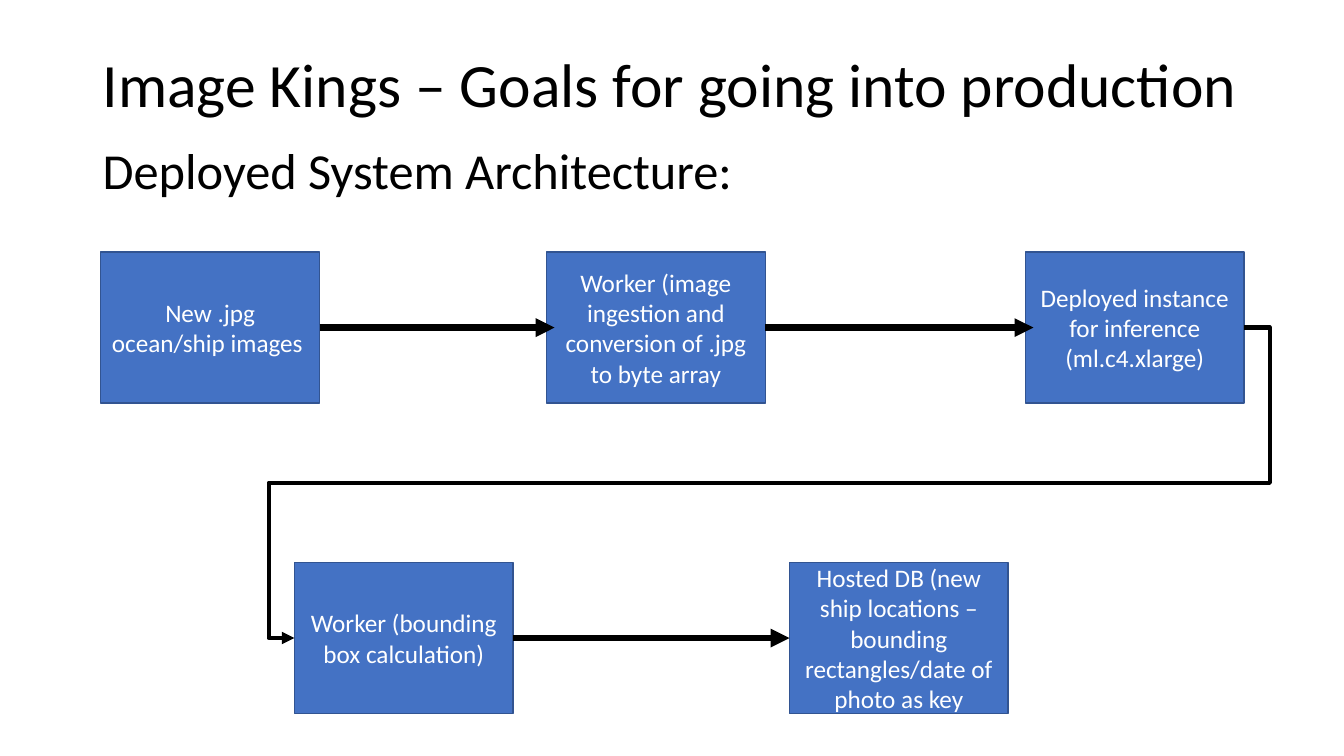
from lxml.etree import SubElement
from pptx import Presentation
from pptx.dml.color import RGBColor
from pptx.enum.shapes import MSO_CONNECTOR as CONN, MSO_SHAPE as SHAPE
from pptx.enum.text import MSO_ANCHOR as ANCHOR, PP_ALIGN as ALIGN
from pptx.oxml.ns import qn
from pptx.util import Inches, Pt

BLACK = RGBColor(0x00, 0x00, 0x00)
WHITE = RGBColor(0xFF, 0xFF, 0xFF)
BLUE = RGBColor(0x44, 0x72, 0xC4)
DARK_BLUE = RGBColor(0x32, 0x54, 0x91)

BOX_W, BOX_H = 2.17, 1.5
TOP_ROW, BOTTOM_ROW = 2.5, 5.58
STEPS = {
    "images": (1, TOP_ROW, "New .jpg ocean/ship images "),
    "ingestion": (5.42, TOP_ROW,
                  "Worker (image ingestion and conversion of .jpg to byte array"),
    "inference": (10.17, TOP_ROW, "Deployed instance for inference (ml.c4.xlarge)"),
    "bounding": (2.92, BOTTOM_ROW, "Worker (bounding box calculation)"),
    "database": (7.83, BOTTOM_ROW,
                 "Hosted DB (new ship locations – bounding rectangles/date of photo as key"),
}
# start step, end step, how far the head reaches into the end step
ARROWS = [("images", "ingestion", 0.08),
          ("ingestion", "inference", 0.08),
          ("bounding", "database", 0)]


class Diagram:
    font = "Calibri"

    def __init__(self, slide):
        self.shapes = slide.shapes

    def set_text(self, sp, text, size, color, anchor, **paragraph_format):
        tf = sp.text_frame
        tf.word_wrap = True
        tf.vertical_anchor = anchor
        p = tf.paragraphs[0]
        for name, value in paragraph_format.items():
            setattr(p, name, value)
        r = p.add_run()
        r.text = text
        for name, value in {"name": self.font, "size": Pt(size)}.items():
            setattr(r.font, name, value)
        r.font.color.rgb = color

    def heading(self, x, y, w, h, text, size, anchor=ANCHOR.TOP, **paragraph_format):
        sp = self.shapes.add_textbox(Inches(x), Inches(y), Inches(w), Inches(h))
        self.set_text(sp, text, size, BLACK, anchor, **paragraph_format)

    def step(self, x, y, text):
        sp = self.shapes.add_shape(SHAPE.RECTANGLE, Inches(x), Inches(y),
                                   Inches(BOX_W), Inches(BOX_H))
        sp.shadow.inherit = False
        sp.fill.solid()
        sp.fill.fore_color.rgb = BLUE
        sp.line.color.rgb = DARK_BLUE
        sp.line.width = Pt(1)
        self.set_text(sp, text, 18, WHITE, ANCHOR.MIDDLE, alignment=ALIGN.CENTER)

    def arrow(self, start, end, reach=0, width=4.5, kind=CONN.STRAIGHT):
        """Draw an arrow from the right side of one step to the left side of another."""
        (x1, y1, _), (x2, y2, _) = STEPS[start], STEPS[end]
        points = (x1 + BOX_W, y1 + BOX_H / 2, x2 + reach, y2 + BOX_H / 2)
        cxn = self.shapes.add_connector(kind, *(Inches(v) for v in points))
        cxn.line.color.rgb = BLACK
        cxn.line.width = Pt(width)
        sp_pr = cxn._element.spPr
        SubElement(sp_pr.find(qn("a:ln")), qn("a:tailEnd"), type="triangle")
        SubElement(sp_pr, qn("a:effectLst"))
        return cxn

    def return_arrow(self, start, end):
        """Draw an arrow that loops around both steps to the next row."""
        cxn = self.arrow(start, end, width=3, kind=CONN.ELBOW)
        geom = cxn._element.spPr.find(qn("a:prstGeom"))
        geom.set("prst", "bentConnector5")
        guides = geom.find(qn("a:avLst"))
        for i, value in enumerate((-2700, 50000, 102700), 1):
            SubElement(guides, qn("a:gd"), name=f"adj{i}", fmla=f"val {value}")


def main():
    prs = Presentation()
    prs.slide_width, prs.slide_height = Inches(13.33), Inches(7.5)
    diagram = Diagram(prs.slides.add_slide(prs.slide_layouts[6]))

    diagram.heading(0.92, 0.4, 11.5, 0.93, "Image Kings – Goals for going into production",
                    44, ANCHOR.MIDDLE, line_spacing=0.9)
    for step in STEPS.values():
        diagram.step(*step)
    for arrow in ARROWS:
        diagram.arrow(*arrow)
    diagram.return_arrow("inference", "bounding")
    diagram.heading(0.92, 1.33, 9.5, 0.71, "Deployed System Architecture:", 36)

    prs.save("out.pptx")


if __name__ == "__main__":
    main()
